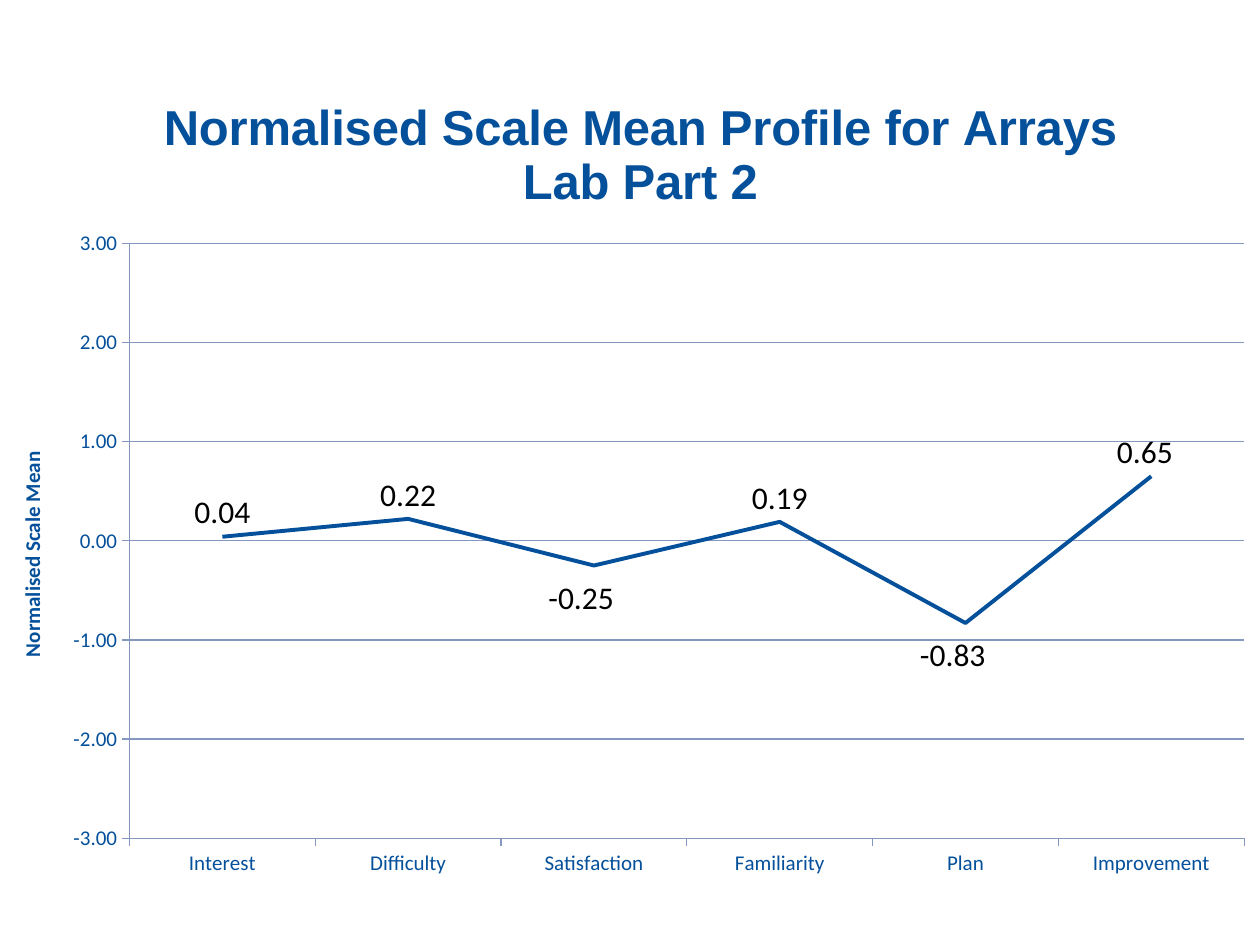
import dataclasses
import typing

import lxml.etree
import pptx
import pptx.chart.data
import pptx.dml.color
import pptx.enum.chart
import pptx.oxml
import pptx.oxml.ns
import pptx.util

COLORS = {"blue": "05509B", "axis": "8497BE", "black": "000000"}
PROFILE = {
    "Interest": 0.04,
    "Difficulty": 0.22,
    "Satisfaction": -0.25,
    "Familiarity": 0.19,
    "Plan": -0.83,
    "Improvement": 0.65,
}


@dataclasses.dataclass
class Layout:
    x: float
    y: float
    w: typing.Optional[float] = None
    h: typing.Optional[float] = None
    absolute: bool = True


@dataclasses.dataclass
class ShiftedLabel:
    index: int
    position: typing.Any
    layout: Layout


LABEL = pptx.enum.chart.XL_LABEL_POSITION
SHIFTED_LABELS = [
    ShiftedLabel(2, LABEL.BELOW, Layout(-0.01, 0.01, absolute=False)),
    ShiftedLabel(4, LABEL.BELOW, Layout(-0.01, 0.01, absolute=False)),
    ShiftedLabel(5, LABEL.ABOVE, Layout(-0.005, 0, absolute=False)),
]


def set_values(target: typing.Any, values: dict) -> None:
    for name, value in values.items():
        setattr(target, name, value)


def rgb(name: str) -> pptx.dml.color.RGBColor:
    return pptx.dml.color.RGBColor.from_string(COLORS[name])


def format_font(font: typing.Any, size: float, color: str, name: str = "Calibri", bold: bool = False) -> None:
    set_values(font, {"size": pptx.util.Pt(size), "name": name, "bold": bold})
    font.color.rgb = rgb(color)


def format_line(line: typing.Any, color: str, width: float) -> None:
    line.color.rgb = rgb(color)
    line.width = pptx.util.Pt(width)


def place(element: typing.Any, layout: Layout, index: int) -> None:
    qn = pptx.oxml.ns.qn
    for old in element.findall(qn("c:layout")):
        element.remove(old)
    holder = pptx.oxml.parse_xml(f"<c:layout {pptx.oxml.ns.nsdecls('c')}/>")
    manual = lxml.etree.SubElement(holder, qn("c:manualLayout"))
    values = {}
    if layout.w is not None:
        values["layoutTarget"] = "inner"
    if layout.absolute:
        values.update(xMode="edge", yMode="edge")
    values.update(x=layout.x, y=layout.y)
    if layout.w is not None:
        values.update(w=layout.w, h=layout.h)
    for name, value in values.items():
        lxml.etree.SubElement(manual, qn(f"c:{name}")).set("val", str(value))
    element.insert(index, holder)


def add_title(owner: typing.Any, text: str, size: float, font_name: str, layout: Layout) -> None:
    title = owner.chart_title if hasattr(owner, "chart_title") else owner.axis_title
    paragraph = title.text_frame.paragraphs[0]
    run = paragraph.add_run()
    run.text = text
    format_font(run.font, size, "blue", font_name, True)
    element = title.text_frame._txBody.getparent().getparent()
    place(element, layout, 1)


def format_axes(chart: typing.Any) -> None:
    enums = pptx.enum.chart
    for axis in (chart.category_axis, chart.value_axis):
        set_values(axis, {
            "major_tick_mark": enums.XL_TICK_MARK.OUTSIDE,
            "minor_tick_mark": enums.XL_TICK_MARK.NONE,
            "tick_label_position": enums.XL_TICK_LABEL_POSITION.LOW,
        })
        format_font(axis.tick_labels.font, 12, "blue")
        format_line(axis.format.line, "axis", 0.75)
    value_axis = chart.value_axis
    set_values(value_axis, {
        "minimum_scale": -3,
        "maximum_scale": 3,
        "major_unit": 1,
        "has_major_gridlines": True,
        "crosses": enums.XL_AXIS_CROSSES.MINIMUM,
    })
    set_values(value_axis.tick_labels, {"number_format": "0.00", "number_format_is_linked": False})
    format_line(value_axis.major_gridlines.format.line, "axis", 0.75)
    add_title(value_axis, "Normalised Scale Mean", 12, "Calibri", Layout(0.02, 0.47))


def format_series(plot: typing.Any) -> None:
    plot.vary_by_categories = False
    series = plot.series[0]
    series.smooth = False
    series.marker.style = pptx.enum.chart.XL_MARKER_STYLE.NONE
    format_line(series.format.line, "blue", 2.25)
    labels = series.data_labels
    set_values(labels, {
        "show_value": True,
        "position": LABEL.ABOVE,
        "number_format": "#,##0.00",
        "number_format_is_linked": False,
    })
    format_font(labels.font, 18, "black")
    for shifted in SHIFTED_LABELS:
        label = series.points[shifted.index].data_label
        format_font(label.font, 18, "black")
        label.position = shifted.position
        element = labels._element.findall(pptx.oxml.ns.qn("c:dLbl"))[-1]
        place(element, shifted.layout, 1)


def main() -> None:
    presentation = pptx.Presentation()
    presentation.slide_width = pptx.util.Cm(25.4)
    presentation.slide_height = pptx.util.Cm(19.05)
    slide = presentation.slides.add_slide(presentation.slide_layouts[6])

    chart_data = pptx.chart.data.CategoryChartData(number_format="0.00")
    chart_data.categories = list(PROFILE)
    chart_data.add_series("Series 1", list(PROFILE.values()))
    bounds = [pptx.util.Cm(length) for length in (-0.23, 1.09, 25.83, 16.89)]
    chart = slide.shapes.add_chart(pptx.enum.chart.XL_CHART_TYPE.LINE, *bounds, chart_data).chart
    set_values(chart, {"has_legend": False, "has_title": True})
    format_font(chart.font, 10, "blue")
    add_title(chart, "Normalised Scale Mean Profile for Arrays Lab Part 2", 28, "Arial", Layout(0.13, 0.04))
    format_axes(chart)
    format_series(chart.plots[0])
    plot_area = chart._chartSpace.find(".//" + pptx.oxml.ns.qn("c:plotArea"))
    place(plot_area, Layout(0.11, 0.226, 0.87, 0.71), 0)

    presentation.save("out.pptx")


if __name__ == "__main__":
    main()
